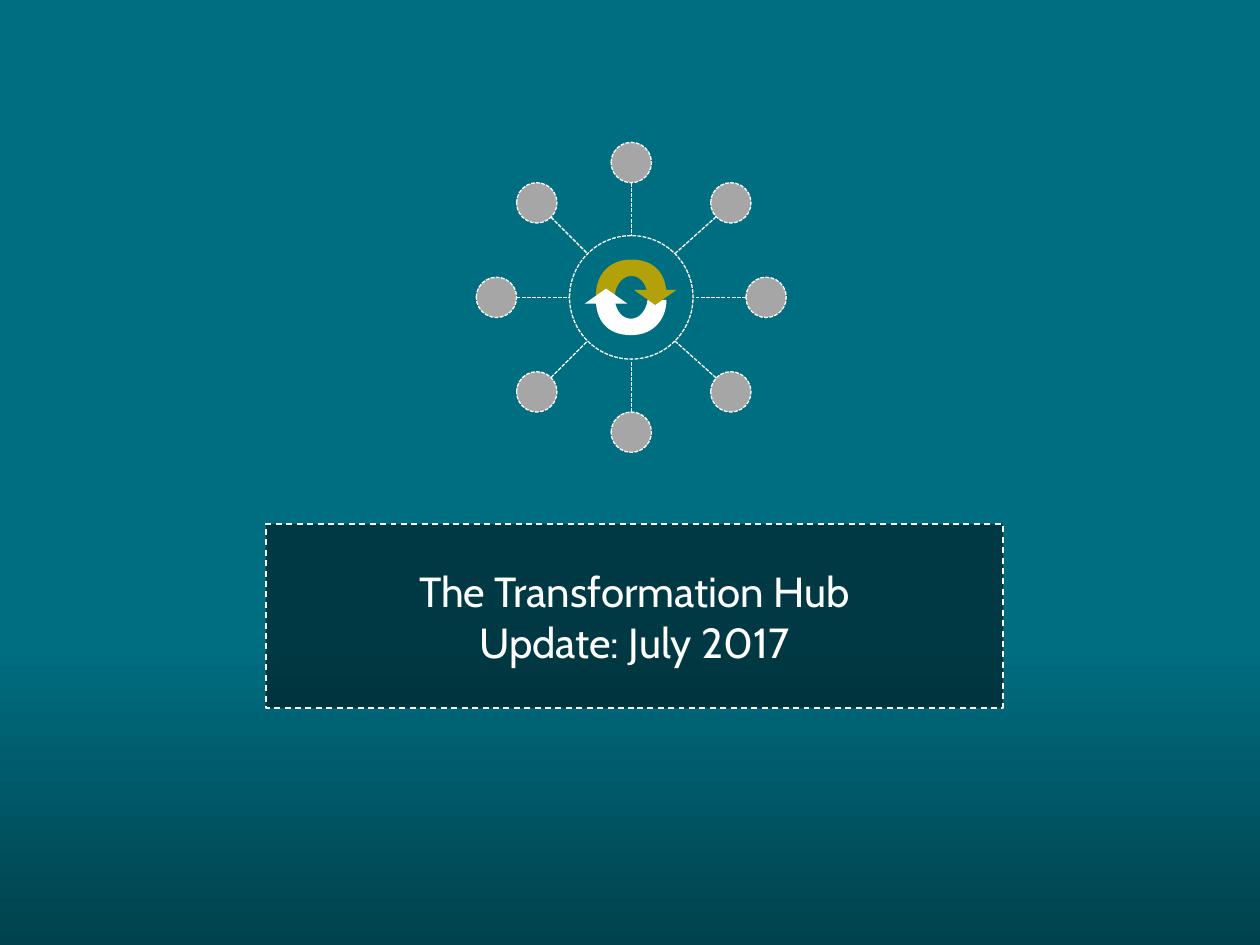
"""Build the Transformation Hub cover slide."""
from dataclasses import dataclass
from math import atan2, cos, hypot, pi, sin

from lxml.etree import SubElement
from pptx import Presentation
from pptx.dml.color import RGBColor
from pptx.enum.dml import MSO_LINE
from pptx.enum.shapes import MSO_CONNECTOR, MSO_SHAPE
from pptx.enum.text import MSO_ANCHOR, MSO_AUTO_SIZE, PP_ALIGN
from pptx.oxml.ns import qn
from pptx.util import Inches, Pt


@dataclass(frozen=True)
class Theme:
    teal: RGBColor = RGBColor(0x00, 0x6E, 0x81)
    deep: RGBColor = RGBColor(0x00, 0x42, 0x4D)
    white: RGBColor = RGBColor(0xFF, 0xFF, 0xFF)
    black: RGBColor = RGBColor(0x00, 0x00, 0x00)
    grey: RGBColor = RGBColor(0xA6, 0xA6, 0xA6)
    gold: RGBColor = RGBColor(0xB2, 0xA1, 0x09)
    font: str = "Cabin"
    size: float = 24
    thin: float = 0.75
    frame: float = 0.85


@dataclass(frozen=True)
class Spoke:
    dx: float
    dy: float


@dataclass(frozen=True)
class Arrow:
    color: RGBColor
    sign: int
    turn: int
    left: float
    top: float


THEME = Theme()
MID_X, MID_Y = 5.01, 2.36
RIM, DOT = 0.49, 0.16
REACH, RISE, LEFT, RIGHT = 1.07, 0.75, -0.75, 0.79
SPOKES = [Spoke(RIGHT, RISE), Spoke(REACH, 0), Spoke(0, -REACH), Spoke(-REACH, 0),
          Spoke(0, REACH), Spoke(LEFT, RISE), Spoke(LEFT, -RISE), Spoke(RIGHT, -RISE)]
ARROWS = [Arrow(THEME.white, -1, 0, 4.64, 2.29), Arrow(THEME.gold, 1, 180, 5.03, 2.3)]
START = (0, -0.3)
CURVES = [[(0.2, -0.3), (0.28, -0.17), (0.28, -0.02)],
          [(0.13, -0.02)],
          [(0.12, -0.11), (0.07, -0.17), (0, -0.17)],
          [(-0.06, -0.17), (-0.12, -0.11), (-0.13, -0.02)],
          [(-0.28, -0.02)],
          [(-0.28, -0.17), (-0.18, -0.3), START]]


def dash(line, width: float, style) -> None:
    """Give a line its white dashes."""
    line.color.rgb = THEME.white
    line.width = Pt(width)
    line.dash_style = style


def paint(shape, color: RGBColor) -> None:
    """Fill a shape with one colour."""
    shape.fill.solid()
    shape.fill.fore_color.rgb = color


def disc(shapes, x: float, y: float, radius: float):
    """Draw a dashed circle around a point."""
    shape = shapes.add_shape(MSO_SHAPE.OVAL, Inches(x - radius), Inches(y - radius),
                             Inches(2 * radius), Inches(2 * radius))
    shape.shadow.inherit = False
    shape.fill.background()
    dash(shape.line, THEME.thin, MSO_LINE.SQUARE_DOT)
    return shape


def node(shapes, spoke: Spoke) -> None:
    """Draw the grey end of a spoke."""
    paint(disc(shapes, MID_X + spoke.dx, MID_Y + spoke.dy, DOT), THEME.grey)


def link(shapes, spoke: Spoke) -> None:
    """Join a node to the hub."""
    far = 1 - DOT / hypot(spoke.dx, spoke.dy)
    angle = round(atan2(spoke.dy, spoke.dx) * 4 / pi) * pi / 4
    line = shapes.add_connector(
        MSO_CONNECTOR.STRAIGHT,
        Inches(MID_X + far * spoke.dx), Inches(MID_Y + far * spoke.dy),
        Inches(MID_X + RIM * cos(angle)), Inches(MID_Y + RIM * sin(angle)))
    dash(line.line, THEME.thin, MSO_LINE.SQUARE_DOT)
    SubElement(line.element.spPr, qn("a:effectLst"))


def band(shapes, item: Arrow) -> None:
    """Draw one curved half of the cycle."""
    spots = [(Inches(MID_X + item.sign * x), Inches(MID_Y + item.sign * y))
             for x, y in [START] + [p for part in CURVES for p in part]]
    pen = shapes.build_freeform(*spots[0])
    pen.add_line_segments(spots[1:], close=True)
    shape = pen.convert_to_shape()
    steps = iter(list(shape.element.spPr.iter(qn("a:lnTo"))))
    for part in CURVES:
        group = [next(steps) for _ in part]
        if len(group) == 3:
            bend = group[0].makeelement(qn("a:cubicBezTo"))
            group[0].addprevious(bend)
            for step in group:
                bend.append(step[0])
                step.getparent().remove(step)
    finish(shape, item)


def head(shapes, item: Arrow) -> None:
    """Draw the head of one half of the cycle."""
    shape = shapes.add_shape(MSO_SHAPE.ISOSCELES_TRIANGLE, Inches(item.left),
                             Inches(item.top), Inches(0.34), Inches(0.12))
    shape.rotation = item.turn
    finish(shape, item)


def finish(shape, item: Arrow) -> None:
    """Colour a part of the cycle."""
    shape.shadow.inherit = False
    paint(shape, item.color)
    shape.line.fill.background()


def label(box) -> None:
    """Place and format the title."""
    box.left, box.top = Inches(2.11), Inches(4.16)
    box.width, box.height = Inches(5.85), Inches(1.46)
    paint(box, THEME.black)
    tint = box.element.spPr.find(qn("a:solidFill")).find(qn("a:srgbClr"))
    SubElement(tint, qn("a:alpha")).set("val", "48000")
    dash(box.line, THEME.frame, MSO_LINE.DASH)
    frame = box.text_frame
    frame.text = "The Transformation Hub\nUpdate: July 2017"
    frame.word_wrap = True
    frame.auto_size = MSO_AUTO_SIZE.NONE
    frame.vertical_anchor = MSO_ANCHOR.MIDDLE
    frame.margin_left = frame.margin_right = Inches(0.15)
    frame.margin_top = frame.margin_bottom = Inches(0.05)
    for para in frame.paragraphs:
        para.alignment = PP_ALIGN.CENTER
        for run in para.runs:
            run.font.name = THEME.font
            run.font.size = Pt(THEME.size)
            run.font.color.rgb = THEME.white


def main() -> None:
    """Build and save the slide."""
    deck = Presentation()
    deck.slide_width, deck.slide_height = Inches(10), Inches(7.5)
    slide = deck.slides.add_slide(deck.slide_layouts[5])
    fill = slide.background.fill
    fill.gradient()
    fill.gradient_angle = 270
    for stop, spot, color in zip(fill.gradient_stops, (0.68, 1), (THEME.teal, THEME.deep)):
        stop.position = spot
        stop.color.rgb = color
    hub = slide.shapes.add_group_shape().shapes
    disc(hub, MID_X, MID_Y, RIM)
    for draw, items in ((node, SPOKES), (link, SPOKES), (band, ARROWS), (head, ARROWS)):
        for item in items:
            draw(hub, item)
    label(slide.shapes.title)
    deck.save("out.pptx")


main()
